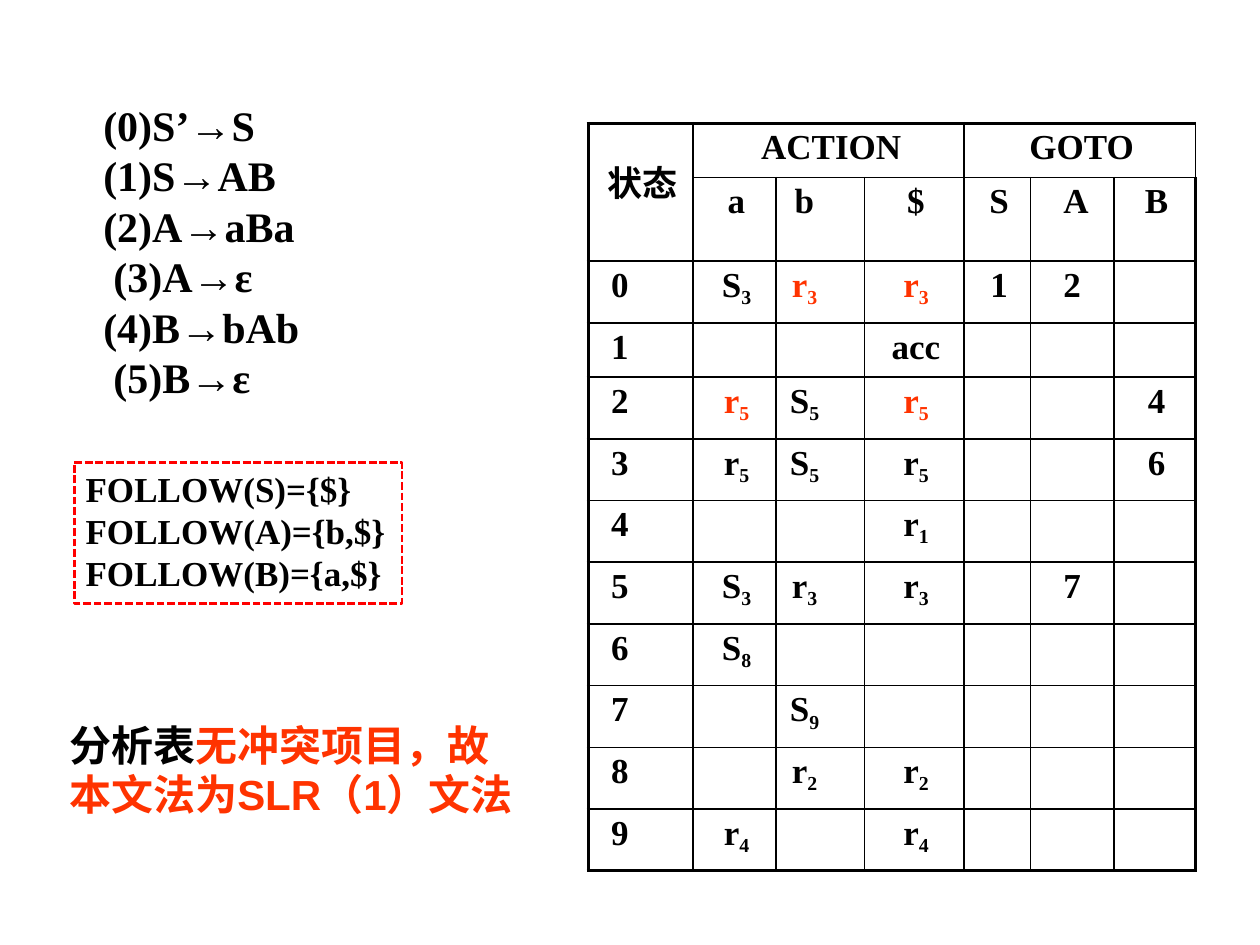
import dataclasses

import lxml.etree
import pptx
import pptx.dml.color
import pptx.enum.dml
import pptx.enum.shapes
import pptx.enum.text
import pptx.oxml.ns
import pptx.util

Pt = pptx.util.Pt
ALIGN = pptx.enum.text.PP_ALIGN


@dataclasses.dataclass(frozen=True)
class Theme:
    ink: str = "000000"
    accent: str = "FF3300"
    frame: str = "FF0000"
    serif: str = "Times New Roman"
    sans: str = "Arial"
    chinese: str = "Noto Sans CJK SC"
    chinese_header: str = "Noto Sans CJK TC"
    large: float = 24
    body: float = 20
    subscript: float = 19.5
    thin: float = 1
    thick: float = 2.25


THEME = Theme()
UNIT = pptx.util.Inches(0.1)  # the slide is a grid of 100 columns by 75 rows

RULES = ["(0)S’→S", "(1)S→AB", "(2)A→aBa", "(3)A→ε", "(4)B→bAb", "(5)B→ε"]
INDENTED_RULES = (3, 5)
FOLLOW_SETS = ["FOLLOW(S)={$}", "FOLLOW(A)={b,$}", "FOLLOW(B)={a,$}"]
CONCLUSION = [
    ("分析表", THEME.ink, THEME.chinese),
    ("无冲突项目，故 本文法为", THEME.accent, THEME.chinese),
    ("SLR", THEME.accent, THEME.sans),
    ("（", THEME.accent, THEME.chinese),
    ("1", THEME.accent, THEME.sans),
    ("）文法", THEME.accent, THEME.chinese),
]

# "-" is an empty cell, "!" marks an entry shown in the accent colour
SYMBOLS = "- a b $ S A B"
STATES = [
    "0 S3 !r3 !r3 1 2 -",
    "1 - - acc - - -",
    "2 !r5 S5 !r5 - - 4",
    "3 r5 S5 r5 - - 6",
    "4 - - r1 - - -",
    "5 S3 r3 r3 - 7 -",
    "6 S8 - - - - -",
    "7 - S9 - - - -",
    "8 - r2 r2 - - -",
    "9 r4 - r4 - - -",
]
COLUMN_WIDTHS = [8.3, 6.6, 7, 7.9, 5.3, 6.6, 6.5]
ROW_HEIGHTS = [4.3, 5.9, 4.9, 4.3] + [4.9] * 8
COLUMN_INDENTS = [0, 0.3, 0, 0.3, 0.3, 2.6, 0.3]
COLUMN_RIGHT_MARGINS = [3.3, 0, 2.5, 0, 0, 0, 0]
LEFT_ALIGNED_COLUMN = 5


def grid(count):
    return int(count * UNIT)


def apply(target, values):
    for name, value in values.items():
        setattr(target, name, value)


def place(shape, left, top, width, height):
    apply(shape, dict(left=grid(left), top=grid(top), width=grid(width), height=grid(height)))


def add_run(paragraph, text, size, color=THEME.ink, font=THEME.serif, baseline=0):
    run = paragraph.add_run()
    run.text = text
    apply(run.font, dict(name=font, size=Pt(size), bold=True))
    run.font.color.rgb = pptx.dml.color.RGBColor.from_string(color)
    properties = run._r.get_or_add_rPr()
    east_asian = lxml.etree.SubElement(properties, pptx.oxml.ns.qn("a:ea"))
    east_asian.set("typeface", font)
    if baseline:
        properties.set("baseline", str(baseline * 1000))


def format_paragraph(paragraph, indent=0, before=0, alignment=ALIGN.LEFT, spacing=None):
    apply(paragraph, dict(alignment=alignment, space_before=Pt(before), line_spacing=spacing))
    properties = paragraph._p.get_or_add_pPr()
    properties.set("marL", str(grid(indent)))
    properties.set("indent", "0")


def prepare_frame(frame, top_margin):
    apply(frame, dict(
        word_wrap=True, auto_size=pptx.enum.text.MSO_AUTO_SIZE.NONE,
        vertical_anchor=pptx.enum.text.MSO_ANCHOR.TOP,
        margin_left=0, margin_right=0, margin_bottom=0, margin_top=grid(top_margin)))


def paragraphs_for(frame, count):
    return [frame.paragraphs[0]] + [frame.add_paragraph() for _ in range(count - 1)]


def fill_rules(title):
    place(title, 8.1, 7.8, 15.8, 24.3)
    prepare_frame(title.text_frame, 0.1)
    paragraphs = paragraphs_for(title.text_frame, len(RULES))
    for number, (paragraph, rule) in enumerate(zip(paragraphs, RULES)):
        indent = 0.9 if number in INDENTED_RULES else 0.1
        format_paragraph(paragraph, indent, 0 if number else 1, spacing=Pt(28.8))
        left_side, arrow, right_side = rule.partition("→")
        add_run(paragraph, left_side, THEME.large)
        add_run(paragraph, arrow, THEME.large, font=THEME.sans)
        add_run(paragraph, right_side, THEME.large)


def add_text_box(slide, box, top_margin):
    shape = slide.shapes.add_textbox(0, 0, 0, 0)
    place(shape, *box)
    prepare_frame(shape.text_frame, top_margin)
    return shape.text_frame


def add_conclusion(slide):
    paragraph = add_text_box(slide, (5.4, 56.9, 35.6, 8.1), 0.4).paragraphs[0]
    format_paragraph(paragraph, 0.1, 2.9, spacing=Pt(27.6))
    for text, color, font in CONCLUSION:
        add_run(paragraph, text, THEME.large, color, font)


def add_follow_sets(slide):
    border = slide.shapes.add_shape(pptx.enum.shapes.MSO_SHAPE.RECTANGLE, 0, 0, 0, 0)
    place(border, 5.9, 36.7, 26, 11.2)
    border.shadow.inherit = False
    border.fill.background()
    border.line.color.rgb = pptx.dml.color.RGBColor.from_string(THEME.frame)
    apply(border.line, dict(width=Pt(1.5), dash_style=pptx.enum.dml.MSO_LINE.SQUARE_DOT))
    frame = add_text_box(slide, (6.7, 37, 24, 10.3), 0.1)
    for paragraph, text in zip(paragraphs_for(frame, len(FOLLOW_SETS)), FOLLOW_SETS):
        format_paragraph(paragraph, 0.1, spacing=Pt(24))
        add_run(paragraph, text, THEME.body)


def set_borders(cell, widths):
    """Draw the left, right, top and bottom borders, in that order."""
    properties = cell._tc.get_or_add_tcPr()
    for position, (side, width) in enumerate(zip("LRTB", widths)):
        line = lxml.etree.Element(pptx.oxml.ns.qn(f"a:ln{side}"), w=str(Pt(width)))
        fill = lxml.etree.SubElement(line, pptx.oxml.ns.qn("a:solidFill"))
        lxml.etree.SubElement(fill, pptx.oxml.ns.qn("a:srgbClr"), val=THEME.ink)
        properties.insert(position, line)


def fill_cell(cell, entry, indent, alignment=ALIGN.LEFT, right_margin=0,
              top_margin=0.4, before=3, font=THEME.serif):
    """Write an entry; a digit after a letter becomes a subscript."""
    apply(cell, dict(margin_left=0, margin_right=grid(right_margin),
                     margin_top=grid(top_margin), margin_bottom=0))
    paragraph = cell.text_frame.paragraphs[0]
    format_paragraph(paragraph, indent, before, alignment)
    color = THEME.accent if entry.startswith("!") else THEME.ink
    entry = entry.lstrip("!")
    stem = entry.rstrip("0123456789") or entry
    add_run(paragraph, stem, THEME.body, color, font)
    if stem != entry:
        add_run(paragraph, entry[len(stem):], THEME.subscript, color, font, -21)


def add_parsing_table(slide):
    row_count, column_count = len(ROW_HEIGHTS), len(COLUMN_WIDTHS)
    table = slide.shapes.add_table(
        row_count, column_count, grid(46.7), grid(9.8),
        grid(sum(COLUMN_WIDTHS)), grid(sum(ROW_HEIGHTS))).table
    apply(table, dict(first_row=False, horz_banding=False))
    for column, width in zip(table.columns, COLUMN_WIDTHS):
        column.width = grid(width)
    for row, height in zip(table.rows, ROW_HEIGHTS):
        row.height = grid(height)
    for row in range(row_count):
        for column in range(column_count):
            cell = table.cell(row, column)
            cell.fill.background()
            outer = (column == 0, column == column_count - 1, row == 0, row == row_count - 1)
            set_borders(cell, [THEME.thick if edge else THEME.thin for edge in outer])
    for first, last in (((0, 0), (1, 0)), ((0, 1), (0, 3)), ((0, 4), (0, 6))):
        table.cell(*first).merge(table.cell(*last))
    fill_cell(table.cell(0, 0), "状态", 1.5, top_margin=2.6, before=18.6,
              font=THEME.chinese_header)
    fill_cell(table.cell(0, 1), "ACTION", 5.4)
    fill_cell(table.cell(0, 4), "GOTO", 5.2)
    for row, entries in enumerate([SYMBOLS] + STATES, start=1):
        for column, entry in enumerate(entries.split()):
            if entry != "-":
                alignment = ALIGN.LEFT if column == LEFT_ALIGNED_COLUMN else ALIGN.CENTER
                fill_cell(table.cell(row, column), entry, COLUMN_INDENTS[column],
                          alignment, COLUMN_RIGHT_MARGINS[column])


def main():
    presentation = pptx.Presentation()
    apply(presentation, dict(slide_width=grid(100), slide_height=grid(75)))
    slide = presentation.slides.add_slide(presentation.slide_layouts[5])
    add_conclusion(slide)
    add_parsing_table(slide)
    fill_rules(slide.shapes.title)
    add_follow_sets(slide)
    presentation.save("out.pptx")


if __name__ == "__main__":
    main()
